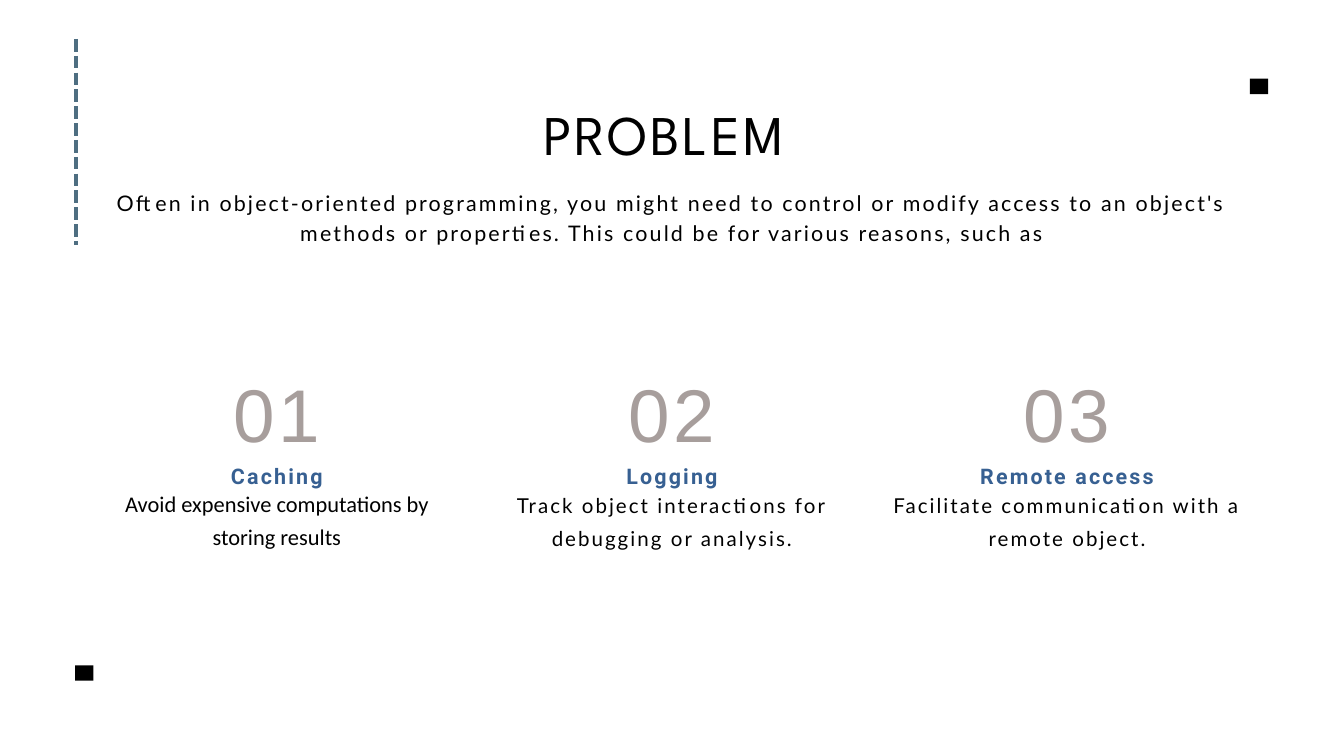
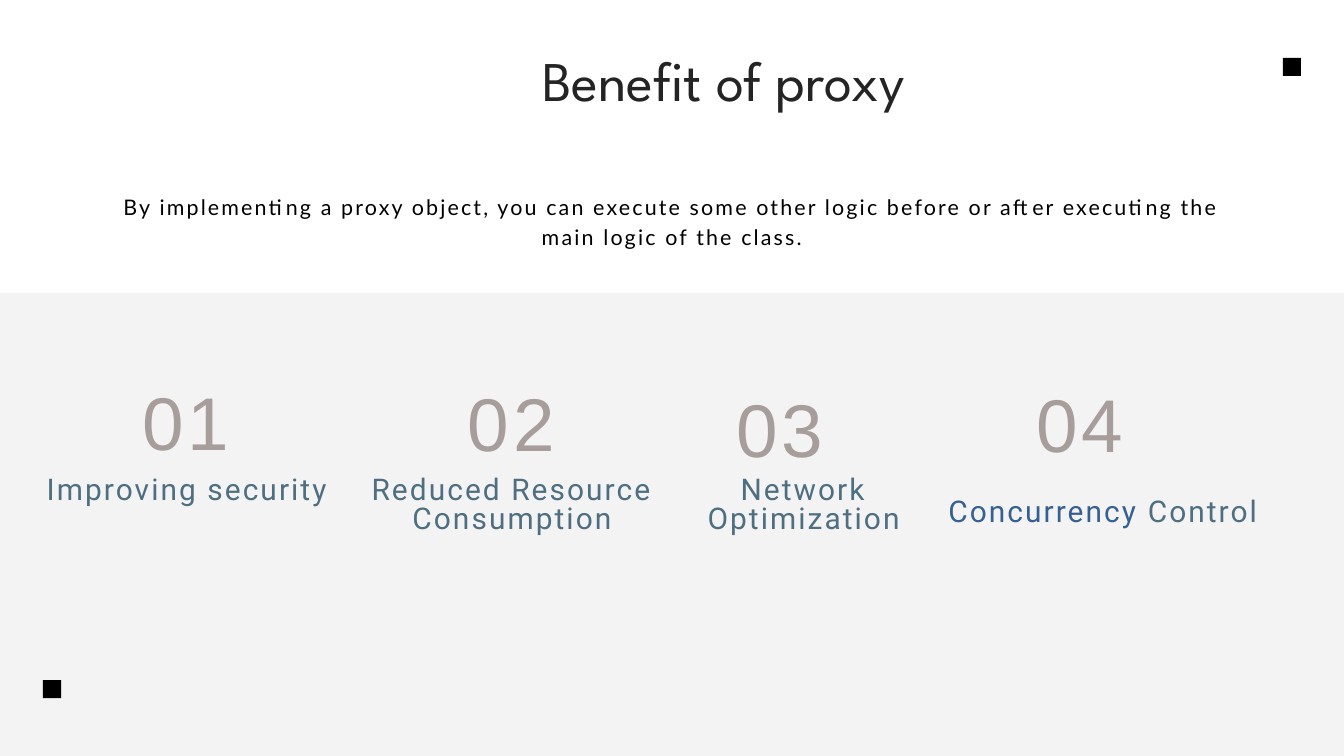
from lxml import etree
from pptx import Presentation
from pptx.dml.color import RGBColor
from pptx.enum.dml import MSO_LINE
from pptx.enum.shapes import MSO_CONNECTOR, MSO_SHAPE
from pptx.enum.text import PP_ALIGN
from pptx.oxml.ns import qn
from pptx.util import Inches, Pt

CENTER = PP_ALIGN.CENTER
RECTANGLE = MSO_SHAPE.RECTANGLE
STRAIGHT = MSO_CONNECTOR.STRAIGHT
DASH = MSO_LINE.SQUARE_DOT

BLACK = "000000"
CHARCOAL = "242424"
TAUPE = "A79E9C"
TEAL = "4E6E81"
BLUE = "376092"
PALE = "F2F1F1"

TITLE = dict(font="League Spartan", size=60, leading=84)
INTRO = dict(font="Lato", size=23, leading=32.2, spacing=2.3)
NUMBER = dict(font="Arial", size=80, leading=112, spacing=4, color=TAUPE)
REASON = dict(font="Roboto", size=23, leading=32.2, spacing=2.3, color=BLUE, bold=True)
DETAIL = dict(font="Lato", size=22, leading=35.2, spacing=2.2)
BENEFIT = dict(font="Roboto", size=32, leading=30.8, spacing=2.2)


def write(slide, text, *, at, font, size, leading, color=BLACK, spacing=0, bold=False):
    frame = slide.shapes.add_textbox(*map(Inches, at)).text_frame
    frame.word_wrap = True
    frame.margin_left = frame.margin_top = frame.margin_right = frame.margin_bottom = 0
    paragraph = frame.paragraphs[0]
    paragraph.alignment = CENTER
    paragraph.line_spacing = Pt(leading)
    parts = [(text, color)] if isinstance(text, str) else text
    for words, tint in parts:
        run = paragraph.add_run()
        run.text = words
        run.font.name = font
        run.font.size = Pt(size)
        run.font.bold = bold
        run.font.color.rgb = RGBColor.from_string(tint)
        if spacing:
            run.font._element.set("spc", str(round(spacing * 100)))


def block(slide, at, color):
    shape = slide.shapes.add_shape(RECTANGLE, *map(Inches, at))
    shape.shadow.inherit = False
    shape.fill.solid()
    shape.fill.fore_color.rgb = RGBColor.from_string(color)
    shape.line.fill.background()
    return shape


prs = Presentation()
prs.slide_width = Inches(20)
prs.slide_height = Inches(11.25)
blank = prs.slide_layouts[6]

problem = prs.slides.add_slide(blank)
write(problem, "PROBLEM ", at=(1.51, 1.32, 16.98, 1.1), spacing=3, **TITLE)
write(problem, "Often in object-oriented programming, you might need to control or modify "
      "access to an object's methods or properties. This could be for various reasons, such as",
      at=(1.51, 2.77, 16.98, 0.87), **INTRO)

reasons = [
    ("Caching", "Avoid expensive computations by storing results",
     dict(font="Calibri", size=24, leading=35.2)),
    ("Logging", "Track object interactions for debugging or analysis.", DETAIL),
    ("Remote access", "Facilitate communication with a remote object.", DETAIL),
]
for index, (reason, detail, detail_style) in enumerate(reasons):
    left = 1.51 + 5.88 * index
    write(problem, f"{index + 1:02}", at=(left, 5.25, 5.22, 1.46), **NUMBER)
    write(problem, reason, at=(left, 6.82, 5.22, 0.41), **REASON)
    write(problem, detail, at=(left, 7.21, 5.22, 0.94), **detail_style)

for corner in [(1.12, 9.9), (18.6, 1.17)]:
    block(problem, (*corner, 0.27, 0.23), BLACK)

margin_rule = problem.shapes.add_connector(
    STRAIGHT, Inches(1.13), Inches(0.58), Inches(1.13), Inches(3.65))
margin_rule.line.color.rgb = RGBColor.from_string(TEAL)
margin_rule.line.width = Pt(4.5)
margin_rule.line.dash_style = DASH
etree.SubElement(margin_rule._element.spPr, qn("a:effectLst"))

benefits_slide = prs.slides.add_slide(blank)
band = block(benefits_slide, (0, 4.36, 20, 6.89), PALE)
band_color = band._element.spPr.find(qn("a:solidFill"))[0]
etree.SubElement(band_color, qn("a:alpha")).set("val", "80000")

write(benefits_slide, "Benefit of proxy ", at=(5.67, 0.51, 10.4, 2.27), color=CHARCOAL, **TITLE)
write(benefits_slide, "By implementing a proxy object, you can execute some other logic before "
      "or after executing the main logic of the class.",
      at=(1.51, 2.82, 16.98, 0.87), **INTRO)

benefits = [
    ("Improving security", 0.4, 7.11, 0.16, 5.37),
    ("Reduced Resource Consumption", 5.24, 7.11, 5, 5.38),
    ("Network Optimization", 9.58, 7.11, 9, 5.48),
    ([("Concurrency", BLUE), (" Control", TEAL)], 14.03, 7.43, 13.46, 5.4),
]
for index, (benefit, left, top, number_left, number_top) in enumerate(benefits, 1):
    write(benefits_slide, f"{index:02}", at=(number_left, number_top, 5.22, 1.46), **NUMBER)
    write(benefits_slide, benefit, at=(left, top, 4.76, 0.9), color=TEAL, **BENEFIT)

for corner in [(0.64, 10.12), (19.09, 0.86)]:
    block(benefits_slide, (*corner, 0.27, 0.27), BLACK)

prs.save("out.pptx")
